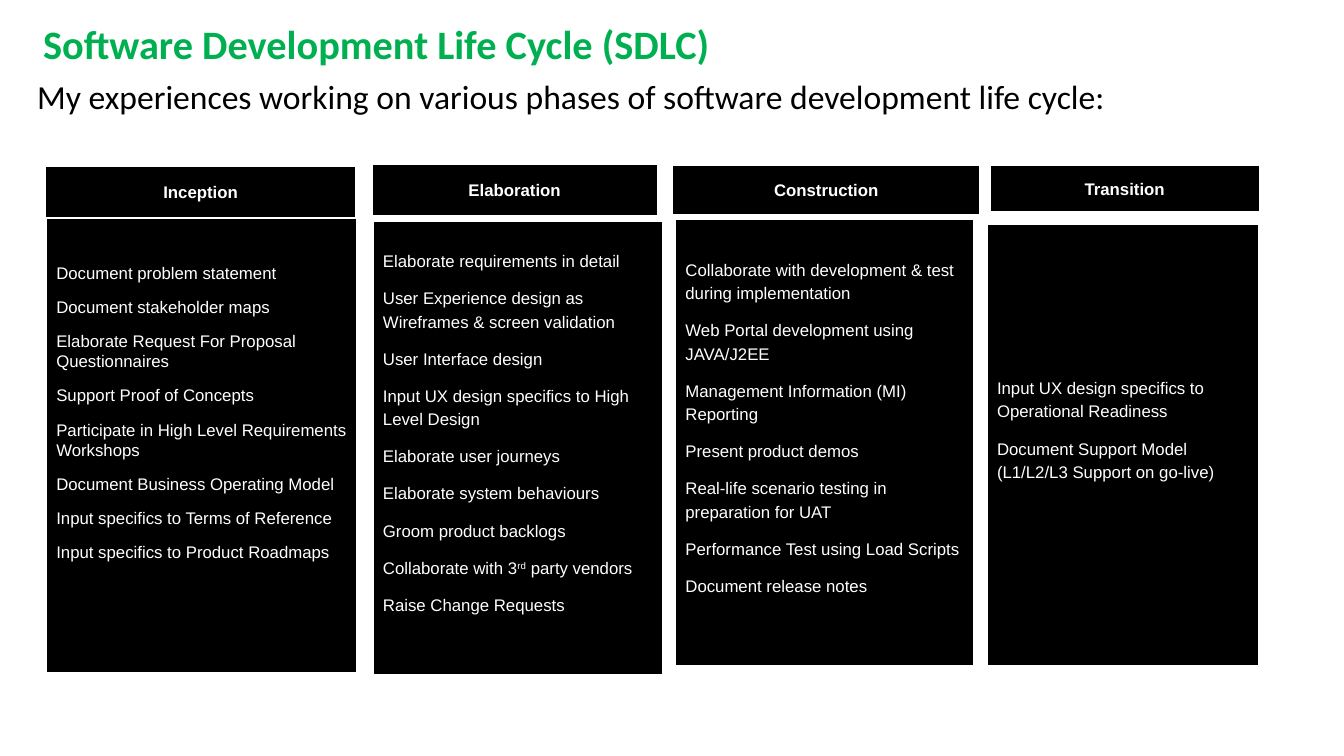
from pptx import Presentation
from pptx.dml.color import RGBColor
from pptx.enum.shapes import MSO_SHAPE
from pptx.enum.text import MSO_ANCHOR, PP_ALIGN
from pptx.util import Inches, Pt

COLORS = {"title": "00B050", "text": "000000", "panel": "000000", "panel_text": "FFFFFF"}
SUPERSCRIPT = "^"  # parts between two marks are raised
SPARE_LINE = 0.33  # one line and its gap, kept free below a task list

# Boxes are left, top, width, height in inches
PHASES = [
    {
        "name": "Inception",
        "header": (0.45, 1.65, 3.08, 0.51),
        "panel": (0.46, 2.17, 3.08, 4.5),
        "line_spacing": 1.0,
        "spare_lines": 2,
        "tasks": [
            "Document problem statement",
            "Document stakeholder maps",
            "Elaborate Request For Proposal Questionnaires",
            "Support Proof of Concepts",
            "Participate in High Level Requirements Workshops",
            "Document Business Operating Model",
            "Input specifics to Terms of Reference",
            "Input specifics to Product Roadmaps",
        ],
    },
    {
        "name": "Elaboration",
        "header": (3.69, 1.63, 2.83, 0.51),
        "panel": (3.7, 2.2, 2.87, 4.49),
        "line_spacing": 1.15,
        "spare_lines": 1,
        "tasks": [
            "Elaborate requirements in detail",
            "User Experience design as Wireframes & screen validation",
            "User Interface design",
            "Input UX design specifics to High Level Design",
            "Elaborate user journeys",
            "Elaborate system behaviours",
            "Groom product backlogs",
            "Collaborate with 3^rd^ party vendors",
            "Raise Change Requests",
        ],
    },
    {
        "name": "Construction",
        "header": (6.67, 1.64, 3.05, 0.49),
        "panel": (6.7, 2.18, 2.96, 4.43),
        "line_spacing": 1.15,
        "spare_lines": 1,
        "tasks": [
            "Collaborate with development & test during implementation",
            "Web Portal development using JAVA/J2EE",
            "Management Information (MI) Reporting",
            "Present product demos",
            "Real-life scenario testing in preparation for UAT",
            "Performance Test using Load Scripts",
            "Document release notes",
        ],
    },
    {
        "name": "Transition",
        "header": (9.82, 1.64, 2.67, 0.46),
        "panel": (9.79, 2.23, 2.69, 4.37),
        "line_spacing": 1.15,
        "spare_lines": 1,
        "tasks": [
            "Input UX design specifics to Operational Readiness",
            "Document Support Model (L1/L2/L3 Support on go-live)",
        ],
    },
]


def add_run(paragraph, text, font, size, color, bold=False):
    run = paragraph.add_run()
    run.text = text
    run.font.name = font
    run.font.size = Pt(size)
    run.font.bold = bold
    run.font.color.rgb = RGBColor.from_string(COLORS[color])
    return run


def add_heading(slide, box, text, size, color, bold=False):
    frame = slide.shapes.add_textbox(*map(Inches, box)).text_frame
    frame.word_wrap = True
    frame.vertical_anchor = MSO_ANCHOR.MIDDLE
    paragraph = frame.paragraphs[0]
    paragraph.line_spacing = 0.9
    add_run(paragraph, text, "Calibri", size, color, bold)


def add_panel(slide, box, lines, align, line_spacing=1.0, bold=False, spare=0):
    """Black box with one paragraph per line, centred above the spare height."""
    panel = slide.shapes.add_shape(MSO_SHAPE.RECTANGLE, *map(Inches, box))
    panel.shadow.inherit = False
    panel.fill.solid()
    panel.fill.fore_color.rgb = RGBColor.from_string(COLORS["panel"])
    panel.line.color.rgb = RGBColor.from_string(COLORS["panel_text"])
    panel.line.width = Pt(1)

    frame = panel.text_frame
    frame.word_wrap = True
    frame.vertical_anchor = MSO_ANCHOR.MIDDLE
    frame.margin_bottom = Inches(0.05 + spare)
    for index, line in enumerate(lines):
        paragraph = frame.add_paragraph() if index else frame.paragraphs[0]
        paragraph.alignment = align
        paragraph.line_spacing = line_spacing
        paragraph.space_after = Pt(10)
        for part, text in enumerate(line.split(SUPERSCRIPT)):
            run = add_run(paragraph, text, "Arial", 12, "panel_text", bold)
            if part % 2:
                run.font._element.set("baseline", "30000")


def add_phase(slide, phase):
    add_panel(slide, phase["panel"], phase["tasks"], PP_ALIGN.LEFT,
              phase["line_spacing"], spare=phase["spare_lines"] * SPARE_LINE)
    add_panel(slide, phase["header"], [phase["name"]], PP_ALIGN.CENTER, bold=True)


def main():
    deck = Presentation()
    deck.slide_width, deck.slide_height = Inches(13.33), Inches(7.5)
    slide = deck.slides.add_slide(deck.slide_layouts[6])
    add_heading(slide, (0.33, 0.19, 12.72, 0.54),
                "Software Development Life Cycle (SDLC)", 28.8, "title", bold=True)
    add_heading(slide, (0.27, 0.74, 12.15, 0.47),
                "My experiences working on various phases of software development life cycle:",
                24, "text")
    for phase in PHASES:
        add_phase(slide, phase)
    deck.save("out.pptx")


if __name__ == "__main__":
    main()
